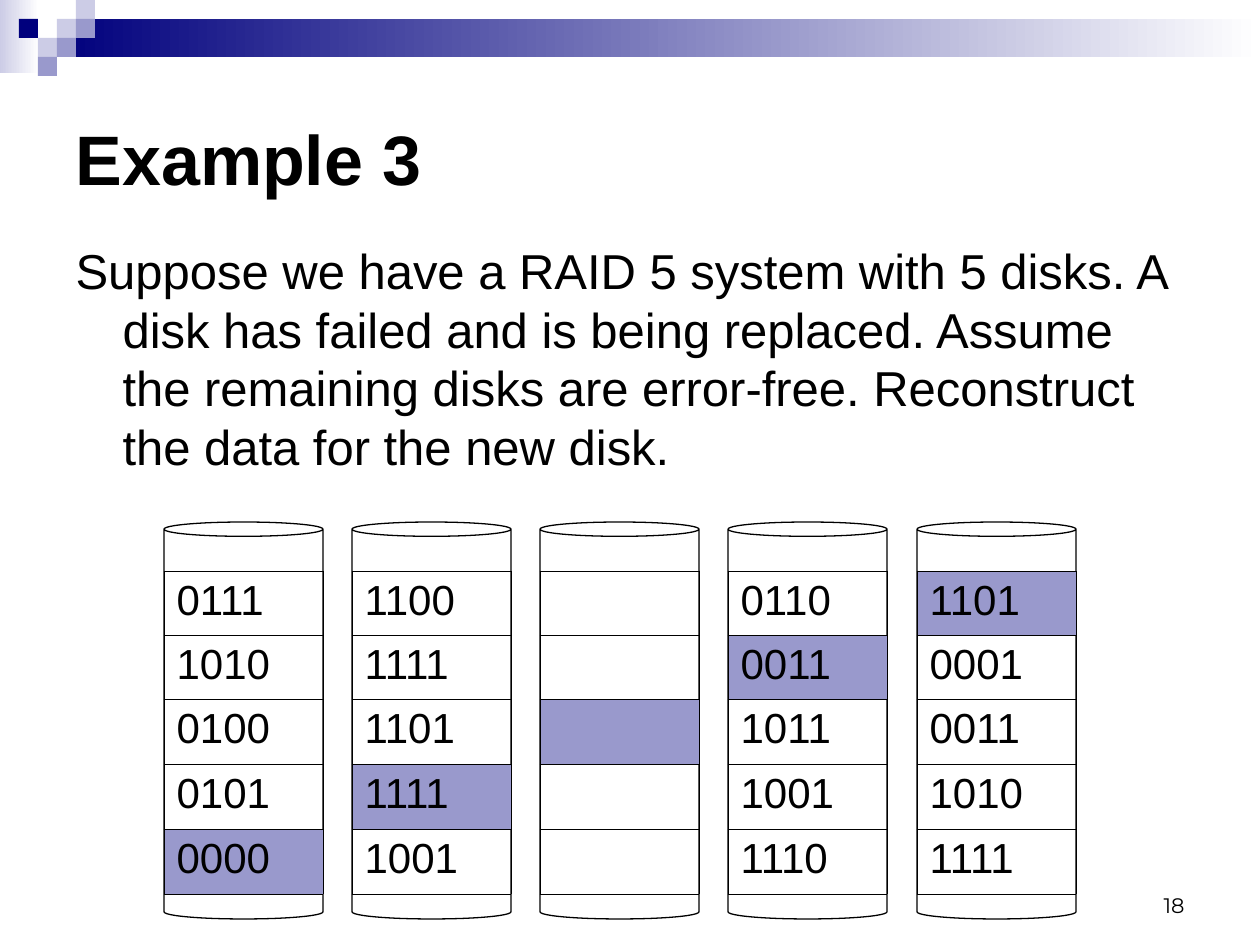
from lxml.etree import SubElement
from pptx import Presentation
from pptx.dml.color import RGBColor
from pptx.enum.shapes import MSO_SHAPE
from pptx.enum.text import MSO_ANCHOR, MSO_AUTO_SIZE, PP_ALIGN
from pptx.oxml import parse_xml
from pptx.oxml.ns import nsdecls, qn
from pptx.util import Emu, Pt

BLACK = RGBColor(0x00, 0x00, 0x00)
WHITE = RGBColor(0xFF, 0xFF, 0xFF)
NAVY = RGBColor(0x00, 0x00, 0x7D)
LAVENDER = RGBColor(0xCC, 0xCC, 0xE6)
PERIWINKLE = RGBColor(0x99, 0x99, 0xCC)


def px(length):
    return Emu(round(length * 914400 / 126))


def write_text(frame, text, size, font="Arial", bold=False, align=PP_ALIGN.LEFT, before=0):
    paragraph = frame.paragraphs[0]
    paragraph.alignment = align
    paragraph.space_before = Pt(before)
    run = paragraph.add_run()
    run.text = text
    run.font.size = Pt(size)
    run.font.name = font
    run.font.bold = bold
    run.font.color.rgb = BLACK
    return paragraph


presentation = Presentation()
presentation.slide_width = px(1260)
presentation.slide_height = px(945)
slide = presentation.slides.add_slide(presentation.slide_layouts[1])
shapes = slide.shapes

bands = [(0, 0, 39, 73, LAVENDER), (57, 19, 1203, 38, NAVY)]
for left, top, width, height, color in bands:
    band = shapes.add_shape(MSO_SHAPE.RECTANGLE, px(left), px(top), px(width), px(height))
    band.shadow.inherit = False
    band.line.fill.background()
    band.fill.gradient()
    band.fill.gradient_angle = 0
    for stop, position, stop_color in zip(band.fill.gradient_stops, (0, 1), (color, WHITE)):
        stop.position = position
        stop.color.rgb = stop_color

SQUARE = 19
squares = [
    (3, 1, LAVENDER), (4, 0, LAVENDER), (4, 1, PERIWINKLE), (2, 2, LAVENDER),
    (1, 1, NAVY), (3, 2, PERIWINKLE), (2, 3, PERIWINKLE),
]
for column, row, color in squares:
    square = shapes.add_shape(
        MSO_SHAPE.RECTANGLE, px(column * SQUARE), px(row * SQUARE), px(SQUARE), px(SQUARE))
    square.shadow.inherit = False
    square.line.fill.background()
    square.fill.solid()
    square.fill.fore_color.rgb = color

title = shapes.title
title.left, title.top, title.width, title.height = px(63), px(63), px(1134), px(189)
title.text_frame.vertical_anchor = MSO_ANCHOR.MIDDLE
title.text_frame.auto_size = MSO_AUTO_SIZE.NONE
write_text(title.text_frame, "Example 3", 40, bold=True)

body = slide.placeholders[1]
body.left, body.top, body.width, body.height = px(63), px(234), px(1134), px(575)
body.text_frame.auto_size = MSO_AUTO_SIZE.NONE
paragraph = write_text(
    body.text_frame,
    "Suppose we have a RAID 5 system with 5 disks. A disk has failed and is being replaced. "
    "Assume the remaining disks are error-free. Reconstruct the data for the new disk.",
    28, before=7)
properties = paragraph._p.get_or_add_pPr()
properties.set("marL", str(px(47)))
properties.set("indent", str(-px(47)))
SubElement(properties, qn("a:buNone"))

DISK_WIDTH = 159
ROW_HEIGHTS = [64, 64, 65, 65, 65]
disks = [
    ["0111", "1010", "0100", "0101", "0000"],
    ["1100", "1111", "1101", "1111", "1001"],
    ["", "", "", "", ""],
    ["0110", "0011", "1011", "1001", "1110"],
    ["1101", "0001", "0011", "1010", "1111"],
]
for index, blocks in enumerate(disks):
    left = px(164 + 753 * index // 4)
    disk = shapes.add_shape(MSO_SHAPE.CAN, left, px(522), px(DISK_WIDTH), px(397))
    disk.shadow.inherit = False
    disk.adjustments[0] = 0.09
    disk.fill.background()
    disk.line.color.rgb = BLACK
    disk.line.width = Pt(0.75)

    table = shapes.add_table(
        len(blocks), 1, left, px(571), px(DISK_WIDTH), px(sum(ROW_HEIGHTS))).table
    table.first_row = False
    table.horz_banding = False
    parity_row = len(blocks) - 1 - index
    for row, block in enumerate(blocks):
        table.rows[row].height = px(ROW_HEIGHTS[row])
        cell = table.cell(row, 0)
        if row == parity_row:
            cell.fill.solid()
            cell.fill.fore_color.rgb = PERIWINKLE
        else:
            cell.fill.background()
        if block:
            write_text(cell.text_frame, block, 24, before=6)
        for order, side in enumerate(("lnL", "lnR", "lnT", "lnB")):
            border = parse_xml(
                f'<a:{side} {nsdecls("a")} w="{Pt(0.45)}"><a:solidFill>'
                f'<a:srgbClr val="{BLACK}"/></a:solidFill></a:{side}>')
            cell._tc.get_or_add_tcPr().insert(order, border)

number = shapes.add_textbox(px(903), px(861), px(294), px(63))
number.text_frame.word_wrap = True
number.text_frame.vertical_anchor = MSO_ANCHOR.BOTTOM
write_text(number.text_frame, "18", 12, font="Montserrat", align=PP_ALIGN.RIGHT)

presentation.save("out.pptx")
